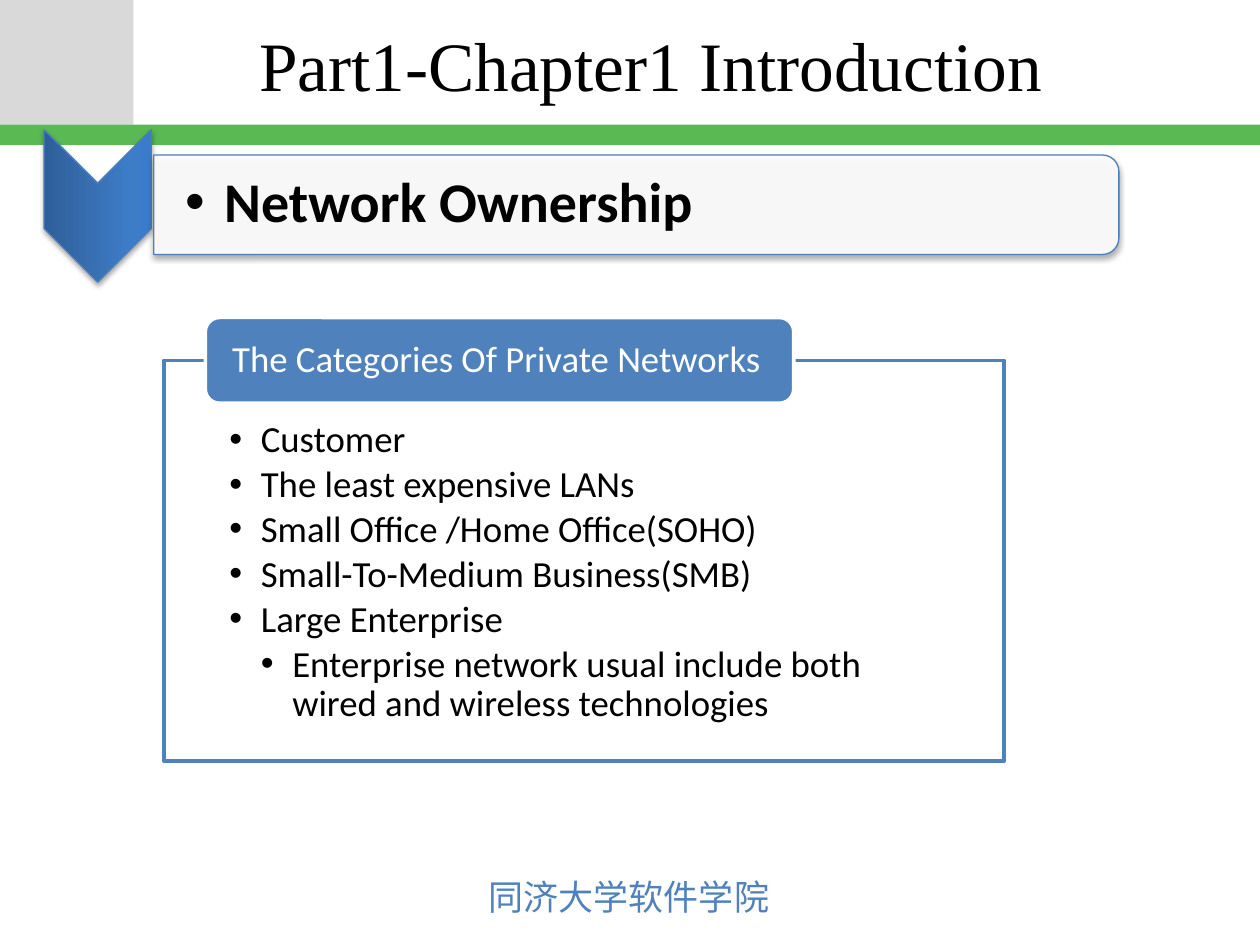
import pptx
import pptx.util
import pptx.dml.color
import pptx.enum.shapes
import pptx.enum.text
import pptx.oxml
import pptx.oxml.ns

Inches = pptx.util.Inches
Pt = pptx.util.Pt
RGB = pptx.dml.color.RGBColor
KIND = pptx.enum.shapes.MSO_SHAPE
ANCHOR = pptx.enum.text.MSO_ANCHOR
ALIGN = pptx.enum.text.PP_ALIGN
FIT = pptx.enum.text.MSO_AUTO_SIZE
qn = pptx.oxml.ns.qn
NS = 'xmlns:a="http://schemas.openxmlformats.org/drawingml/2006/main"'

BLACK = RGB(0x00, 0x00, 0x00)
WHITE = RGB(0xFF, 0xFF, 0xFF)
GREY = RGB(0xD9, 0xD9, 0xD9)
GREEN = RGB(0x5A, 0xB9, 0x53)
BLUE = RGB(0x4F, 0x81, 0xBD)
EDGE = RGB(0x4B, 0x7E, 0xBC)
SHADES = ((0, RGB(0x2F, 0x5F, 0x99)), (80, RGB(0x3D, 0x7C, 0xC7)),
          (100, RGB(0x3A, 0x7C, 0xCB)))

TITLE = dict(name="Times New Roman", size=Pt(39.6), color=BLACK)
HEAD = dict(name="Calibri", size=Pt(32), bold=True, color=BLACK)
ITEM = dict(name="Calibri", size=Pt(21), color=BLACK)
LABEL = dict(name="Calibri", size=Pt(21), color=WHITE)
FOOT = dict(name="Noto Sans CJK JP", size=Pt(20), color=BLUE)

LIST = [
    ("Customer", 0),
    ("The least expensive LANs", 0),
    ("Small Office /Home Office(SOHO)", 0),
    ("Small-To-Medium Business(SMB)", 0),
    ("Large Enterprise", 0),
    ("Enterprise network usual include both wired and wireless technologies", 1),
]


def place(item, box):
    for key, val in zip(("left", "top", "width", "height"), box):
        setattr(item, key, Inches(val))


def paint(item, fill, line=None, width=0.75, alpha=None):
    item.fill.solid()
    item.fill.fore_color.rgb = fill
    if alpha:
        tone = item._element.spPr.find(qn("a:solidFill"))[0]
        tone.append(pptx.oxml.parse_xml(f'<a:alpha {NS} val="{alpha * 1000}"/>'))
    if line is None:
        item.line.fill.background()
    else:
        item.line.color.rgb = line
        item.line.width = Pt(width)


def draw(slide, kind, box, fill, **style):
    item = slide.shapes.add_shape(kind, *map(Inches, box))
    item.shadow.inherit = False
    paint(item, fill, **style)
    return item


def stand(slide, kind, box, fill, **style):
    """Draw a shape turned a quarter so that it fills the upright box."""
    x, y, w, h = box
    flat = (x + (w - h) / 2, y + (h - w) / 2, h, w)
    item = draw(slide, kind, flat, fill, line=EDGE, **style)
    item.rotation = 90
    item._element.spPr.find(qn("a:effectLst")).append(pptx.oxml.parse_xml(
        f'<a:outerShdw {NS} blurRad="{Pt(3.1)}" dist="{Pt(1.8)}" dir="5400000" '
        'rotWithShape="0"><a:srgbClr val="000000"><a:alpha val="35000"/>'
        '</a:srgbClr></a:outerShdw>'))
    return item


def shade(item):
    stops = "".join(f'<a:gs pos="{pos * 1000}"><a:srgbClr val="{tone}"/></a:gs>'
                    for pos, tone in SHADES)
    props = item._element.spPr
    props.replace(props.find(qn("a:solidFill")), pptx.oxml.parse_xml(
        f'<a:gradFill {NS} rotWithShape="1"><a:gsLst>{stops}</a:gsLst>'
        '<a:lin ang="16200000" scaled="0"/></a:gradFill>'))


def setup(frame, pads=(0.1, 0.05, 0.1, 0.05), anchor=ANCHOR.MIDDLE, wrap=True):
    frame.auto_size = FIT.NONE
    frame.word_wrap = wrap
    frame.vertical_anchor = anchor
    for side, pad in zip(("left", "top", "right", "bottom"), pads):
        setattr(frame, "margin_" + side, Inches(pad))


def write(para, text, font, align=ALIGN.LEFT, after=0, lines=1.0):
    para.text = text
    form = dict(alignment=align, space_before=Pt(0), space_after=Pt(after),
                line_spacing=lines)
    for key, val in form.items():
        setattr(para, key, val)
    for key, val in font.items():
        if key == "color":
            para.font.color.rgb = val
        else:
            setattr(para.font, key, val)
    if para.runs and font is FOOT:
        props = para.runs[0]._r.get_or_add_rPr()
        props.append(pptx.oxml.parse_xml(
            f'<a:ea {NS} typeface="{font["name"]}"/>'))


def bullet(para, left, hang):
    props = para._p.get_or_add_pPr()
    props.set("marL", str(Inches(left)))
    props.set("indent", str(-Inches(hang)))
    props.append(pptx.oxml.parse_xml(f'<a:buFont {NS} typeface="Arial"/>'))
    props.append(pptx.oxml.parse_xml(f'<a:buChar {NS} char="•"/>'))


def banner(slide, box):
    x, y, w, h = box
    # Corner block and green rule
    draw(slide, KIND.RECTANGLE, (x, y, 1.06, h - 0.16), GREY)
    draw(slide, KIND.RECTANGLE, (x, y + h - 0.16, w, 0.16), GREEN)
    # Title
    title = slide.shapes.title
    place(title, (x + 1.74, y + 0.02, 6.85, 0.98))
    setup(title.text_frame)
    write(title.text_frame.paragraphs[0], "Part1-Chapter1 Introduction",
          TITLE, ALIGN.CENTER)


def topic(slide, box):
    x, y, w, h = box
    # Arrow and bar
    shade(stand(slide, KIND.CHEVRON, (x, y, 0.85, h), BLUE))
    bar = (x + 0.87, y + 0.2, w - 0.87, 0.79)
    stand(slide, KIND.ROUND_2_SAME_RECTANGLE, bar, WHITE, alpha=90)
    # Heading
    text = slide.shapes.add_textbox(
        *map(Inches, (bar[0], y + 0.24, bar[2] - 0.03, 0.71))).text_frame
    setup(text, (0.25, 0.02, 0.02, 0.02))
    para = text.paragraphs[0]
    bullet(para, 0.31, 0.31)
    write(para, "Network Ownership", HEAD, after=4.8, lines=0.9)


def panel(slide, box):
    x, y, w, h = box
    # Framed list
    body = slide.placeholders[1]
    place(body, (x, y + 0.34, w, h - 0.34))
    paint(body, WHITE, line=BLUE, width=2, alpha=90)
    text = body.text_frame
    setup(text, (0.52, 0.48, 0.52, 0.16), ANCHOR.TOP)
    for num, (line, level) in enumerate(LIST):
        para = text.add_paragraph() if num else text.paragraphs[0]
        para.level = level
        bullet(para, 0.25 * (level + 1), 0.25)
        write(para, line, ITEM, after=3, lines=0.9)
    # Label on the top edge
    label = draw(slide, KIND.ROUNDED_RECTANGLE, (x + 0.33, y, 4.67, 0.68),
                 BLUE, line=WHITE, width=2).text_frame
    setup(label, (0.18, 0, 0.15, 0))
    write(label.paragraphs[0], "The Categories Of Private Networks", LABEL,
          lines=0.9)


def footer(slide, box):
    text = slide.shapes.add_textbox(*map(Inches, box)).text_frame
    setup(text, anchor=ANCHOR.TOP, wrap=False)
    write(text.paragraphs[0], "同济大学软件学院", FOOT)


def main():
    deck = pptx.Presentation()
    deck.slide_width, deck.slide_height = Inches(10), Inches(7.5)
    slide = deck.slides.add_slide(deck.slide_layouts[1])
    banner(slide, (0, 0, 10, 1.15))
    topic(slide, (0.35, 1.03, 8.53, 1.21))
    panel(slide, (1.3, 2.52, 6.67, 3.52))
    footer(slide, (3.78, 6.9, 2.45, 0.44))
    deck.save("out.pptx")


if __name__ == "__main__":
    main()
